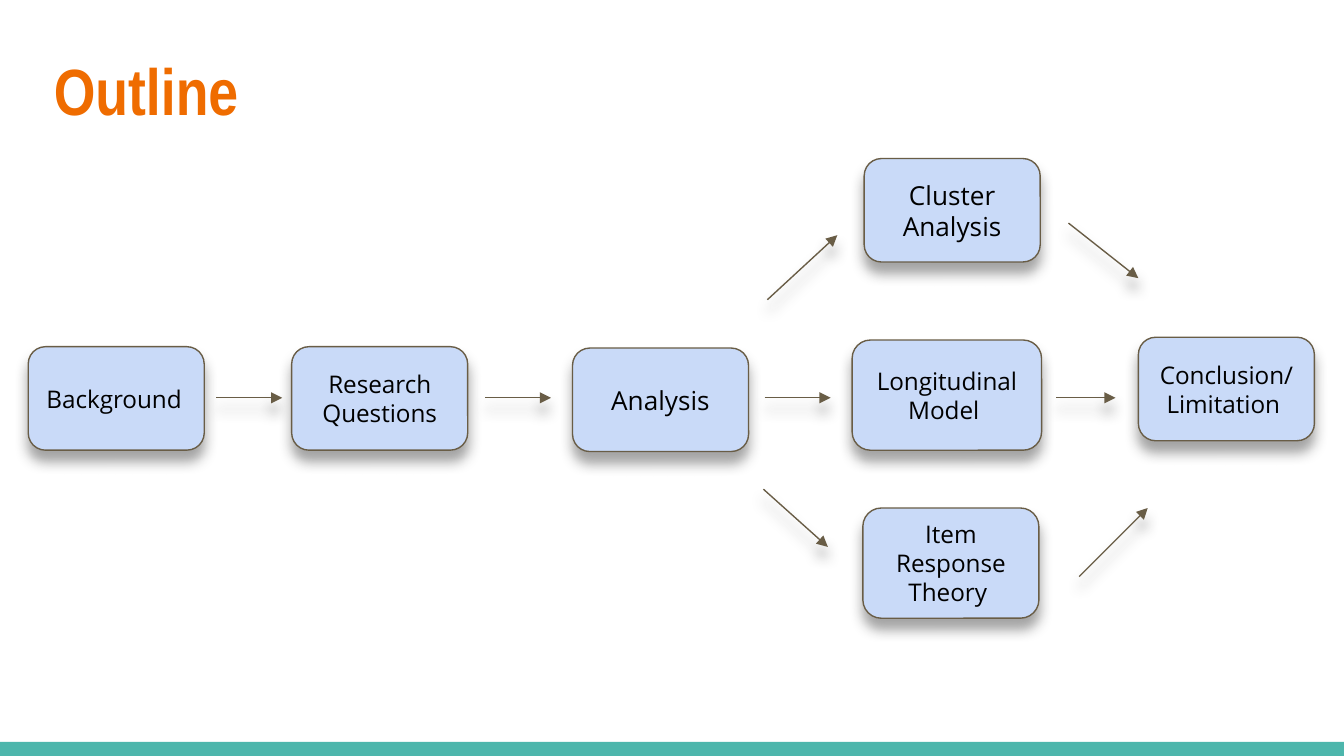
from lxml import etree
from pptx import Presentation
from pptx import util as u
from pptx.dml.color import RGBColor
from pptx.enum import shapes, text
from pptx.oxml import ns

COLORS = {
    "title": "EF6C00",
    "box": "C9DAF8",
    "outline": "695D46",
    "text": "000000",
    "shadow": "999999",
    "footer": "4DB6AC",
}
BOX_WIDTH = 1.31
BOX_HEIGHT = 0.77
ARROW_Y = 2.96

BOXES = [
    ("Background", 0.21, 2.58, BOX_WIDTH, BOX_HEIGHT, 13, text.PP_ALIGN.LEFT),
    ("Research Questions", 2.17, 2.58, BOX_WIDTH, BOX_HEIGHT, 13, text.PP_ALIGN.CENTER),
    ("Cluster Analysis", 6.43, 1.18, BOX_WIDTH, BOX_HEIGHT, 14, text.PP_ALIGN.CENTER),
    ("Longitudinal Model ", 6.34, 2.53, 1.41, 0.82, 13, text.PP_ALIGN.CENTER),
    ("Item Response Theory ", 6.42, 3.78, BOX_WIDTH, 0.82, 13, text.PP_ALIGN.CENTER),
    ("Conclusion/Limitation ", 8.47, 2.51, BOX_WIDTH, BOX_HEIGHT, 13, text.PP_ALIGN.CENTER),
    ("Analysis", 4.26, 2.59, BOX_WIDTH, BOX_HEIGHT, 14, text.PP_ALIGN.CENTER),
]
ARROWS = [
    (1.61, ARROW_Y, 2.1, ARROW_Y),
    (3.61, ARROW_Y, 4.1, ARROW_Y),
    (5.69, ARROW_Y, 6.18, ARROW_Y),
    (7.86, ARROW_Y, 8.3, ARROW_Y),
    (5.71, 2.23, 6.23, 1.75),
    (5.68, 3.64, 6.16, 4.07),
    (7.95, 1.66, 8.47, 2.07),
    (8.03, 4.29, 8.54, 3.78),
]


def color(name):
    return RGBColor.from_string(COLORS[name])


def inches(*lengths):
    return [u.Inches(length) for length in lengths]


def add_child(parent, tag, **attributes):
    child = etree.SubElement(parent, ns.qn(tag))
    for name, value in attributes.items():
        child.set(name, str(value))
    return child


def add_shadow(shape):
    effects = add_child(shape._element.spPr, "a:effectLst")
    shadow = add_child(
        effects, "a:outerShdw", blurRad=u.Pt(6.8), dist=u.Pt(6),
        dir=5400000, algn="bl", rotWithShape=0,
    )
    shade = add_child(shadow, "a:srgbClr", val=COLORS["shadow"])
    add_child(shade, "a:alpha", val=87000)


def set_outline(shape):
    shape.line.color.rgb = color("outline")
    shape.line.width = u.Pt(0.75)


def set_text(shape, wording, font_name, size, color_name, alignment, anchor):
    frame = shape.text_frame
    frame.text = wording
    frame.word_wrap = True
    frame.auto_size = text.MSO_AUTO_SIZE.NONE
    frame.vertical_anchor = anchor
    frame.margin_left = frame.margin_right = u.Inches(0.1)
    frame.margin_top = frame.margin_bottom = u.Inches(0.1)
    paragraph = frame.paragraphs[0]
    paragraph.alignment = alignment
    paragraph.font.name = font_name
    paragraph.font.size = u.Pt(size)
    paragraph.font.color.rgb = color(color_name)
    return paragraph


def add_footer(slide):
    footer = slide.shapes.add_shape(
        shapes.MSO_SHAPE.RECTANGLE, *inches(0, 5.52, 10, 0.11))
    footer.shadow.inherit = False
    footer.fill.solid()
    footer.fill.fore_color.rgb = color("footer")
    footer.line.fill.background()


def set_title(slide, wording):
    title = slide.shapes.title
    title.left, title.top, title.width, title.height = inches(0.3, 0.27, 1.64, 0.77)
    paragraph = set_text(title, wording, "Arial Narrow", 35, "title",
                         text.PP_ALIGN.LEFT, text.MSO_ANCHOR.TOP)
    paragraph.font.bold = True


def add_box(slide, wording, left, top, width, height, size, alignment):
    box = slide.shapes.add_shape(
        shapes.MSO_SHAPE.ROUNDED_RECTANGLE, *inches(left, top, width, height))
    box.fill.solid()
    box.fill.fore_color.rgb = color("box")
    set_outline(box)
    add_shadow(box)
    set_text(box, wording, "Open Sans", size, "text", alignment,
             text.MSO_ANCHOR.MIDDLE)


def add_arrow(slide, *ends):
    arrow = slide.shapes.add_connector(
        shapes.MSO_CONNECTOR.STRAIGHT, *inches(*ends))
    set_outline(arrow)
    add_child(arrow.line._get_or_add_ln(), "a:tailEnd", type="triangle")
    add_shadow(arrow)


def main():
    presentation = Presentation()
    presentation.slide_width = u.Inches(10)
    presentation.slide_height = u.Inches(10 * 9 / 16)
    slide = presentation.slides.add_slide(presentation.slide_layouts[5])
    add_footer(slide)
    set_title(slide, "Outline")
    for box in BOXES:
        add_box(slide, *box)
    for arrow in ARROWS:
        add_arrow(slide, *arrow)
    presentation.save("out.pptx")


if __name__ == "__main__":
    main()
